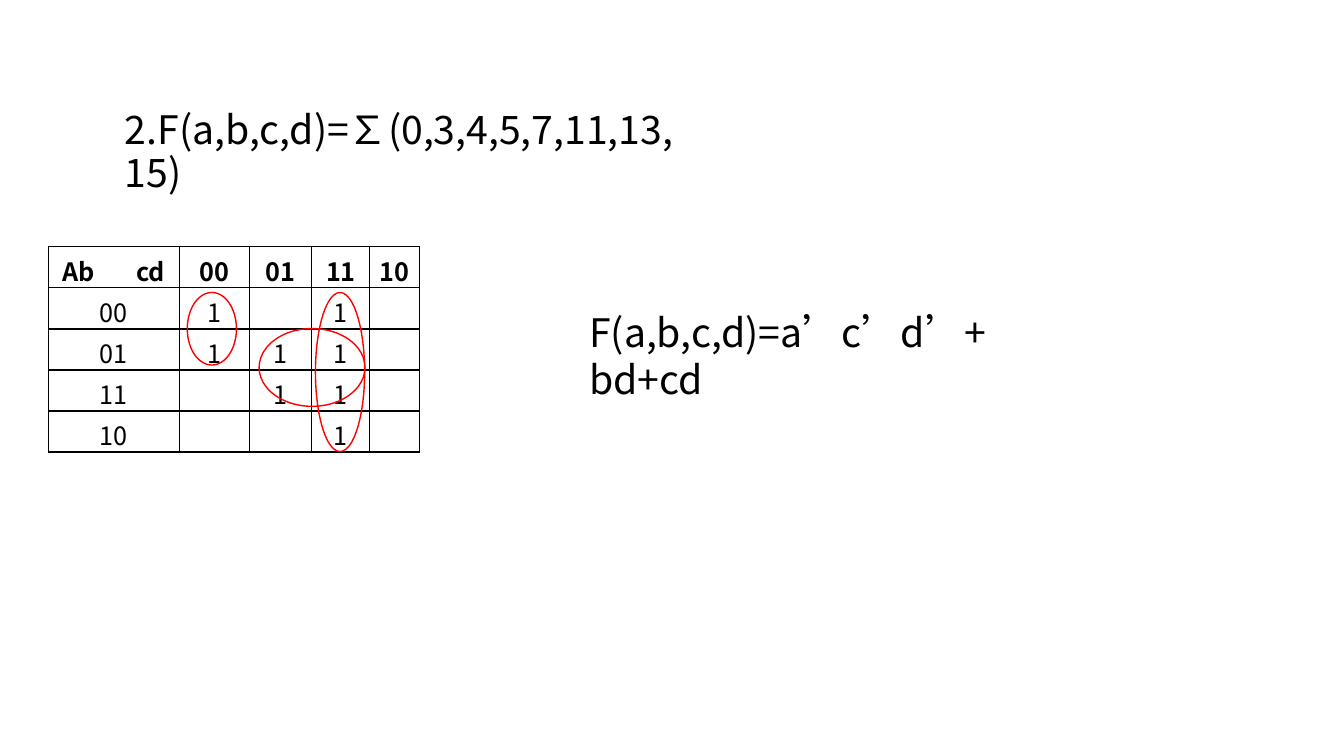
"""Build a slide that minimises a four-variable function with a Karnaugh map."""
from lxml import etree
from pptx import Presentation
from pptx.dml.color import RGBColor
from pptx.enum import shapes, text
from pptx.oxml import ns
from pptx.util import Cm, Pt

FONT = "Noto Sans CJK SC"
COLORS = {"ink": "000000", "loop": "FF0000"}
FORMULAS = [
    ("2.F(a,b,c,d)=∑(0,3,4,5,7,11,13,15)", (2.9, 2.67, 14.6, 1.35), 0.9),
    ("F(a,b,c,d)=a’c’d’+bd+cd", (14.6, 7.65, 10.67, 1.45), None),
]
KMAP = [
    ("Ab\tcd", "00", "01", "11", "10"),
    ("00", "1", "", "1", ""),
    ("01", "1", "1", "1", ""),
    ("11", "", "1", "1", ""),
    ("10", "", "", "1", ""),
]
MAP_LEFT, MAP_TOP, ROW_H = 1.22, 6.22, 1.034
COL_W = [3.3, 1.76, 1.58, 1.46, 1.26]
CD_TAB = 1.86
LOOPS = [
    (4.72, 7.37, 1.24, 1.83),
    (7.95, 7.37, 1.24, 4.01),
    (6.53, 8.28, 2.67, 1.96),
]


def add_run(p, words, size, bold=False):
    r = p.add_run()
    r.text = words
    r.font.size, r.font.bold, r.font.name = Pt(size), bold, FONT
    r.font.color.rgb = RGBColor.from_string(COLORS["ink"])
    etree.SubElement(r.font._element, ns.qn("a:ea"), typeface=FONT)


def add_formula(s, words, box, spacing):
    tf = s.shapes.add_textbox(*map(Cm, box)).text_frame
    tf.word_wrap = True
    tf.auto_size = text.MSO_AUTO_SIZE.SHAPE_TO_FIT_TEXT
    p = tf.paragraphs[0]
    if spacing:
        p.line_spacing = spacing
    add_run(p, words, 28)


def set_borders(cell):
    tc_pr = cell._tc.get_or_add_tcPr()
    for i, side in enumerate("LRTB"):
        ln = etree.Element(ns.qn(f"a:ln{side}"), w=str(Pt(1)))
        fill = etree.SubElement(ln, ns.qn("a:solidFill"))
        etree.SubElement(fill, ns.qn("a:srgbClr"), val=COLORS["ink"])
        tc_pr.insert(i, ln)


def fill_cell(cell, words, bold):
    cell.fill.background()
    set_borders(cell)
    cell.margin_top, cell.margin_bottom = Cm(0.13), Cm(0)
    p = cell.text_frame.paragraphs[0]
    p.alignment = text.PP_ALIGN.CENTER
    if "\t" in words:
        p.alignment = text.PP_ALIGN.LEFT
        cell.margin_left = Cm(0.35)
        tabs = etree.SubElement(p._p.get_or_add_pPr(), ns.qn("a:tabLst"))
        etree.SubElement(tabs, ns.qn("a:tab"), pos=str(Cm(CD_TAB)), algn="l")
    if words:
        add_run(p, words, 18, bold)
    else:
        p.font.size = Pt(18)


def add_map(s):
    table = s.shapes.add_table(
        len(KMAP), len(COL_W), Cm(MAP_LEFT), Cm(MAP_TOP),
        Cm(sum(COL_W)), Cm(ROW_H * len(KMAP))).table
    table.first_row = table.horz_banding = False
    for col, width in zip(table.columns, COL_W):
        col.width = Cm(width)
    for i, row in enumerate(KMAP):
        table.rows[i].height = Cm(ROW_H)
        for j, words in enumerate(row):
            fill_cell(table.cell(i, j), words, bold=i == 0)


def add_loop(s, box):
    sp = s.shapes.add_shape(shapes.MSO_SHAPE.OVAL, *map(Cm, box))
    sp.shadow.inherit = False
    sp.fill.background()
    sp.line.color.rgb = RGBColor.from_string(COLORS["loop"])
    sp.line.width = Pt(1)


def main():
    prs = Presentation()
    prs.slide_width, prs.slide_height = Cm(33.87), Cm(19.05)
    s = prs.slides.add_slide(prs.slide_layouts[6])
    for formula in FORMULAS:
        add_formula(s, *formula)
    add_map(s)
    for box in LOOPS:
        add_loop(s, box)
    prs.save("out.pptx")


if __name__ == "__main__":
    main()
